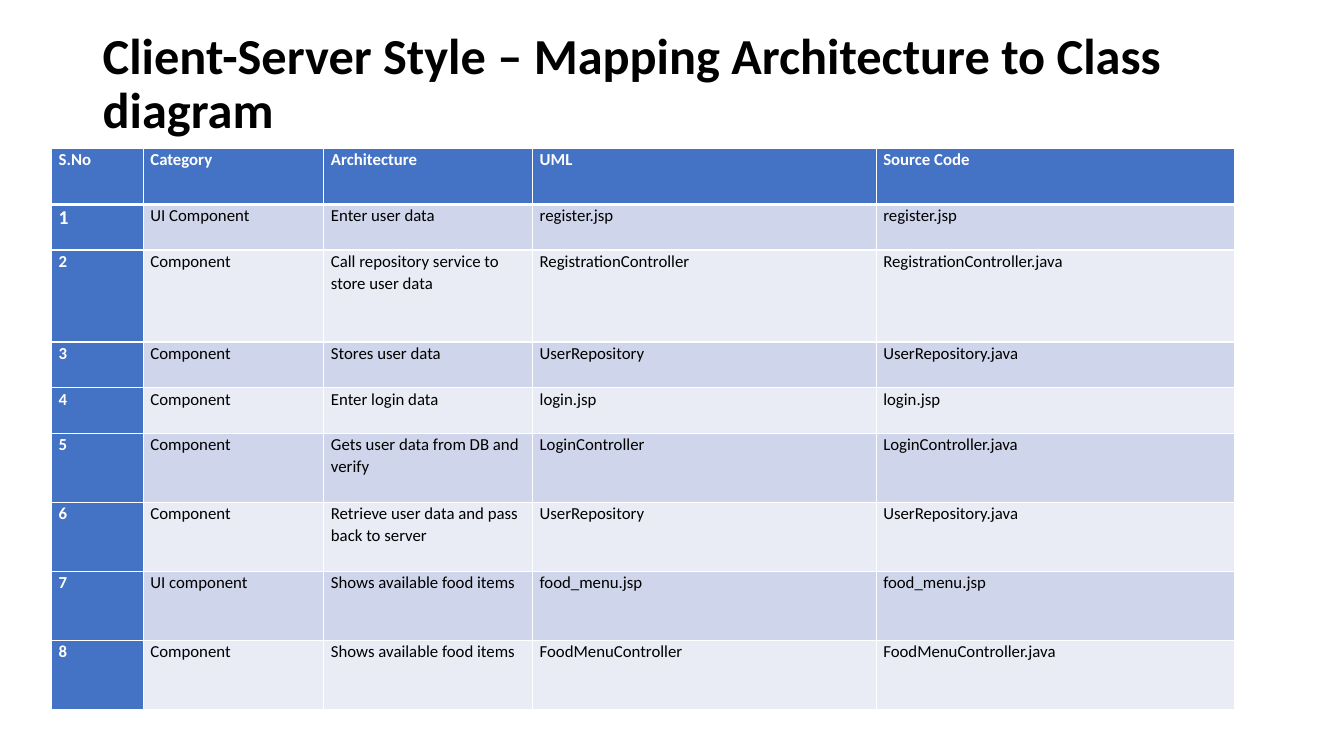
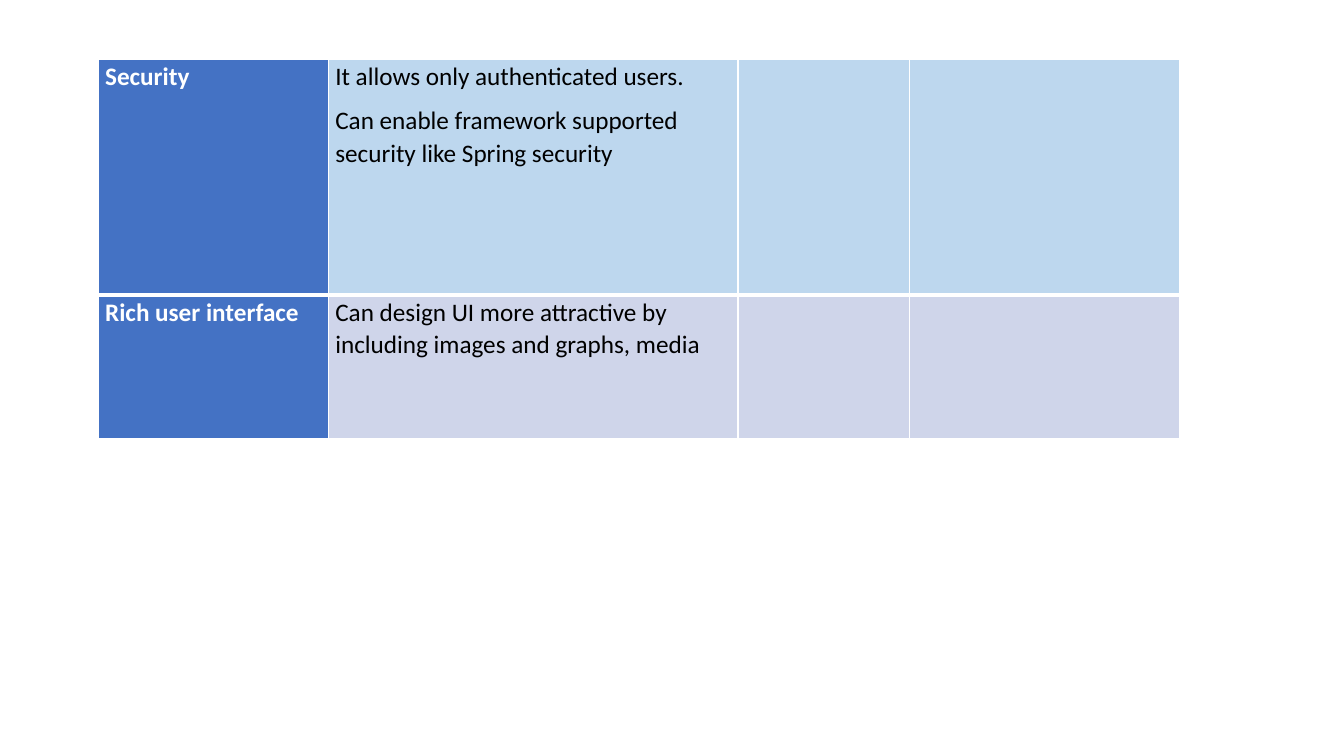
from dataclasses import dataclass

from lxml.etree import SubElement
from pptx import Presentation
from pptx.dml.color import RGBColor
from pptx.enum.text import MSO_ANCHOR
from pptx.oxml.ns import qn
from pptx.slide import Slide
from pptx.table import _Cell
from pptx.text.text import TextFrame
from pptx.util import Cm, Pt

# Shared style
FONT = "Calibri"
BLACK, WHITE = "000000", "FFFFFF"
HEADER_BLUE = "4472C4"
BAND_DARK, BAND_LIGHT = "CFD5EA", "E9EBF5"
PALE_BLUE = "BDD7EE"
THIN, THICK = 1, 3


@dataclass
class TableSpec:
    """Place, grid and contents of one table; lengths in centimetres."""
    left: float
    top: float
    columns: list[float]
    heights: list[float]
    rows: list[list[str]]
    row_fills: list[str]
    size: float


def color(hex_value: str) -> RGBColor:
    return RGBColor.from_string(hex_value)


def write_text(frame: TextFrame, text: str, *, size: float, ink: str = BLACK,
               bold: bool = False, line_spacing: float = 1.07,
               space_after: float = 8) -> None:
    """Write each line of the text as one formatted paragraph."""
    frame.word_wrap = True
    for index, line in enumerate(text.split("\n")):
        paragraph = frame.add_paragraph() if index else frame.paragraphs[0]
        paragraph.text = line
        paragraph.line_spacing = line_spacing
        paragraph.space_after = Pt(space_after)
        paragraph.font.name = FONT
        paragraph.font.size = Pt(size)
        paragraph.font.bold = bold
        paragraph.font.color.rgb = color(ink)


def add_borders(cell: _Cell, top: float, bottom: float) -> None:
    """Draw white cell borders; the sides are always thin."""
    properties = cell._tc.get_or_add_tcPr()
    widths = {"lnL": THIN, "lnR": THIN, "lnT": top, "lnB": bottom}
    for tag, width in widths.items():
        line = SubElement(properties, qn(f"a:{tag}"), w=str(Pt(width)))
        fill = SubElement(line, qn("a:solidFill"))
        SubElement(fill, qn("a:srgbClr"), val=WHITE)


def add_title(slide: Slide, text: str) -> None:
    box = slide.shapes.add_textbox(Cm(2.34), Cm(1.02), Cm(29.21), Cm(2.26))
    box.text_frame.vertical_anchor = MSO_ANCHOR.MIDDLE
    write_text(box.text_frame, text, size=36, bold=True,
               line_spacing=0.9, space_after=0)


def add_table(slide: Slide, spec: TableSpec) -> None:
    table = slide.shapes.add_table(
        len(spec.rows), len(spec.columns), Cm(spec.left), Cm(spec.top),
        Cm(sum(spec.columns)), Cm(sum(spec.heights))).table
    table.first_row = table.horz_banding = False
    for column, width in zip(table.columns, spec.columns):
        column.width = Cm(width)

    for row_index, texts in enumerate(spec.rows):
        table.rows[row_index].height = Cm(spec.heights[row_index])
        row_fill = spec.row_fills[row_index]
        for column_index, text in enumerate(texts):
            cell = table.cell(row_index, column_index)
            cell.margin_left = cell.margin_right = Cm(0.18)
            cell.margin_top = cell.margin_bottom = Cm(0)
            # A thick rule separates the first row from the rest
            add_borders(cell, top=THICK if row_index == 1 else THIN,
                        bottom=THICK if row_index == 0 else THIN)
            heading = column_index == 0 or row_fill == HEADER_BLUE
            cell.fill.solid()
            cell.fill.fore_color.rgb = color(HEADER_BLUE if heading else row_fill)
            write_text(cell.text_frame, text,
                       size=14 if text == "1" else spec.size,
                       ink=WHITE if heading else BLACK, bold=heading)


# Contents
MAPPING = TableSpec(
    left=1.3, top=3.73,
    columns=[2.31, 4.55, 5.26, 8.66, 9.04],
    heights=[1.42, 1.15, 2.32, 1.15, 1.15] + [1.74] * 4,
    rows=[
        ["S.No", "Category", "Architecture", "UML", "Source Code"],
        ["1", "UI Component", "Enter user data", "register.jsp", "register.jsp"],
        ["2", "Component", "Call repository service to store user data",
         "RegistrationController", "RegistrationController.java"],
        ["3", "Component", "Stores user data",
         "UserRepository", "UserRepository.java"],
        ["4", "Component", "Enter login data", "login.jsp", "login.jsp"],
        ["5", "Component", "Gets user data from DB and verify",
         "LoginController", "LoginController.java"],
        ["6", "Component", "Retrieve user data and pass back to server",
         "UserRepository", "UserRepository.java"],
        ["7", "UI component", "Shows available food items",
         "food_menu.jsp", "food_menu.jsp"],
        ["8", "Component", "Shows available food items",
         "FoodMenuController", "FoodMenuController.java"],
    ],
    row_fills=[HEADER_BLUE] + [BAND_DARK, BAND_LIGHT] * 4,
    size=12,
)

QUALITIES = TableSpec(
    left=2.47, top=1.5,
    columns=[5.8, 10.33, 4.32, 6.8],
    heights=[5.93, 3.61],
    rows=[
        ["Security", "It allows only authenticated users.\n"
         "Can enable framework supported security like Spring security", "", ""],
        ["Rich user interface", "Can design UI more attractive by including "
         "images and graphs, media", "", ""],
    ],
    row_fills=[PALE_BLUE, BAND_DARK],
    size=18,
)


def main() -> None:
    presentation = Presentation()
    presentation.slide_width, presentation.slide_height = Cm(33.87), Cm(19.05)
    blank = presentation.slide_layouts[6]

    # Mapping slide
    mapping_slide = presentation.slides.add_slide(blank)
    add_title(mapping_slide,
              "Client-Server Style – Mapping Architecture to Class diagram")
    add_table(mapping_slide, MAPPING)

    # Qualities slide
    add_table(presentation.slides.add_slide(blank), QUALITIES)

    presentation.save("out.pptx")


if __name__ == "__main__":
    main()
